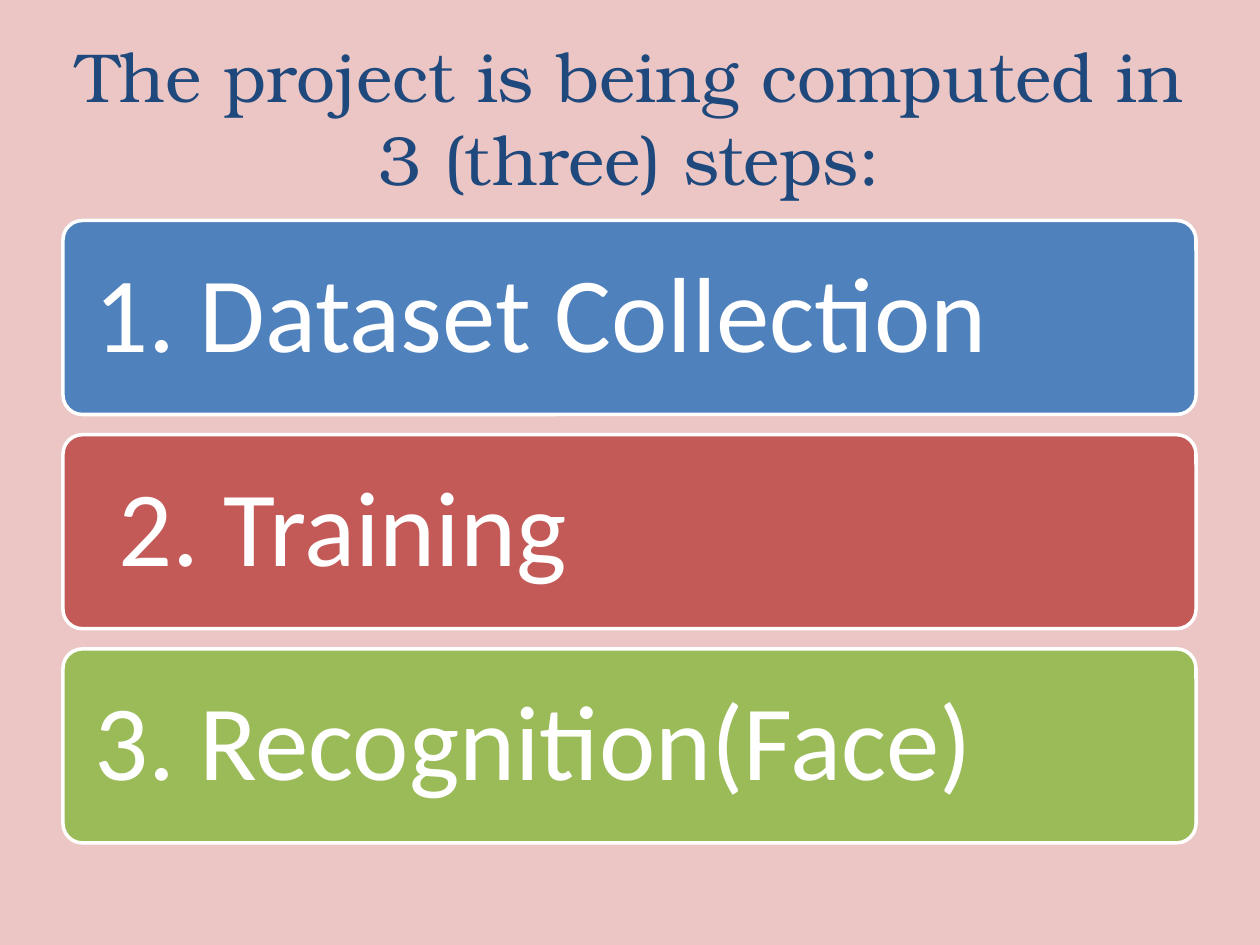
from lxml.etree import SubElement
from pptx import Presentation
from pptx.dml.color import RGBColor
from pptx.enum.shapes import MSO_SHAPE
from pptx.enum.text import MSO_ANCHOR, PP_ALIGN
from pptx.oxml.ns import qn
from pptx.util import Pt

PINK = RGBColor(0xEB, 0xC6, 0xC5)
NAVY = RGBColor(0x1F, 0x49, 0x7D)
BLUE = RGBColor(0x4F, 0x81, 0xBD)
RED = RGBColor(0xC0, 0x50, 0x4D)
GREEN = RGBColor(0x9B, 0xBB, 0x59)
WHITE = RGBColor(0xFF, 0xFF, 0xFF)

TITLE = "The project is being computed in 3 (three) steps:"
STEPS = [
    ("1. Dataset Collection", BLUE, 100),
    (" 2. Training", RED, 91),
    ("3. Recognition(Face)", GREEN, 100),
]
LEFT, TOP, WIDTH, HEIGHT, GAP = 36, 126, 647.5, 110.9, 11.5
INSET = 14.8
SIDES = ("left", "top", "right", "bottom")

HEAD = {"name": "TeX Gyre Bonum", "size": Pt(39.6)}
BODY = {"name": "Calibri", "size": Pt(61)}


def write(shape, text, font, color, align, space=1.0):
    frame = shape.text_frame
    frame.word_wrap = True
    frame.vertical_anchor = MSO_ANCHOR.MIDDLE
    para = frame.paragraphs[0]
    para.alignment = align
    para.line_spacing = space
    run = para.add_run()
    run.text = text
    for key, value in font.items():
        setattr(run.font, key, value)
    run.font.color.rgb = color
    return frame


def add_step(slide, row, text, color, alpha):
    top = TOP + row * (HEIGHT + GAP)
    bar = slide.shapes.add_shape(
        MSO_SHAPE.ROUNDED_RECTANGLE, Pt(LEFT), Pt(top), Pt(WIDTH), Pt(HEIGHT))
    bar.adjustments[0] = 0.1
    bar.shadow.inherit = False
    bar.fill.solid()
    bar.fill.fore_color.rgb = color
    if alpha < 100:
        tint = bar.fill._xPr.find(qn("a:solidFill"))[0]
        SubElement(tint, qn("a:alpha"), val=str(alpha * 1000))
    bar.line.color.rgb = WHITE
    bar.line.width = Pt(2)
    frame = write(bar, text, BODY, WHITE, PP_ALIGN.LEFT, 0.9)
    for side in SIDES:
        setattr(frame, "margin_" + side, Pt(INSET))


def main():
    deck = Presentation()
    deck.slide_width, deck.slide_height = Pt(720), Pt(540)
    slide = deck.slides.add_slide(deck.slide_layouts[6])
    back = slide.background.fill
    back.solid()
    back.fore_color.rgb = PINK

    title = slide.shapes.add_textbox(Pt(36), Pt(21.6), Pt(648), Pt(90))
    write(title, TITLE, HEAD, NAVY, PP_ALIGN.CENTER)
    for row, step in enumerate(STEPS):
        add_step(slide, row, *step)
    deck.save("out.pptx")


if __name__ == "__main__":
    main()
